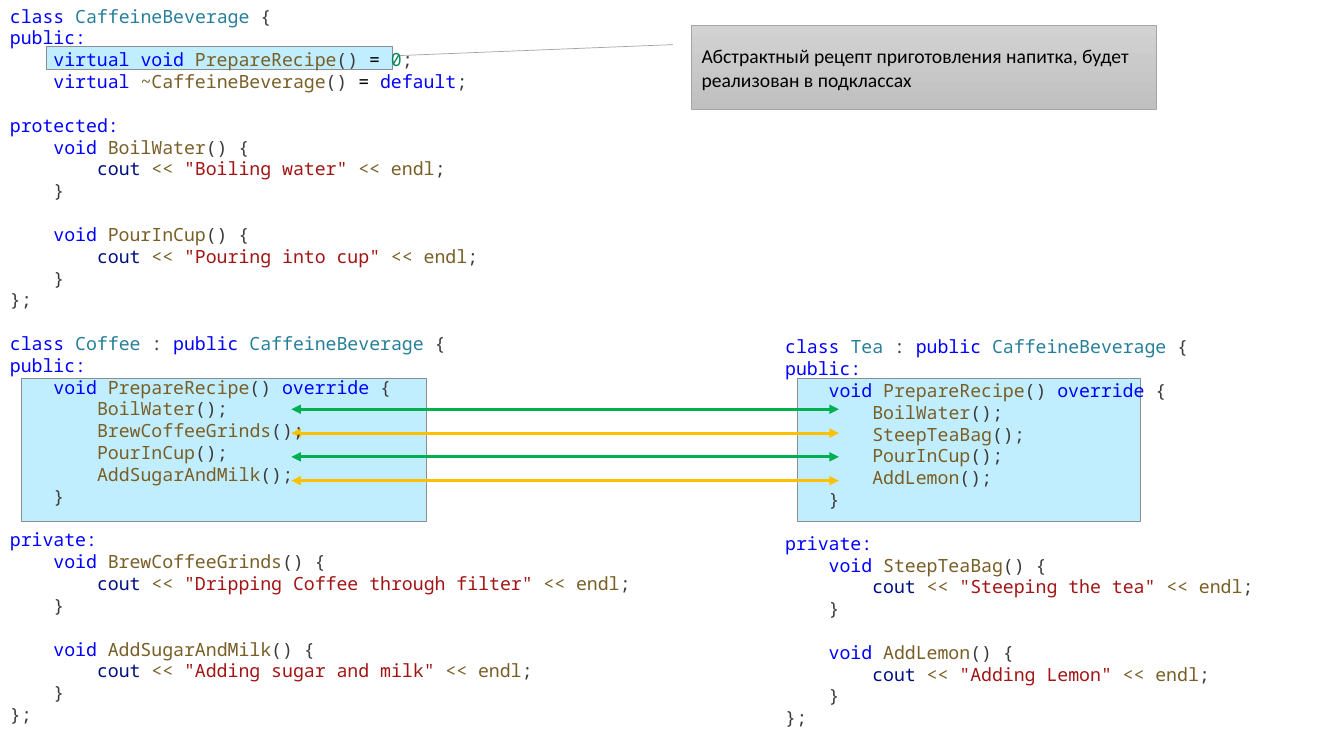
from itertools import groupby

from lxml.etree import SubElement
from pptx import Presentation
from pptx.dml.color import RGBColor
from pptx.enum.shapes import MSO_CONNECTOR, MSO_SHAPE
from pptx.enum.text import MSO_ANCHOR, MSO_AUTO_SIZE, PP_ALIGN
from pptx.oxml.ns import qn
from pptx.util import Inches, Pt

BASE_AND_COFFEE = """\
class CaffeineBeverage {
public:
    virtual void PrepareRecipe() = 0;
    virtual ~CaffeineBeverage() = default;

protected:
    void BoilWater() {
        cout << "Boiling water" << endl;
    }

    void PourInCup() {
        cout << "Pouring into cup" << endl;
    }
};

class Coffee : public CaffeineBeverage {
public:
    void PrepareRecipe() override {
        BoilWater();
        BrewCoffeeGrinds();
        PourInCup();
        AddSugarAndMilk();
    }

private:
    void BrewCoffeeGrinds() {
        cout << "Dripping Coffee through filter" << endl;
    }

    void AddSugarAndMilk() {
        cout << "Adding sugar and milk" << endl;
    }
};"""

TEA = """\
class Tea : public CaffeineBeverage {
public:
    void PrepareRecipe() override {
        BoilWater();
        SteepTeaBag();
        PourInCup();
        AddLemon();
    }

private:
    void SteepTeaBag() {
        cout << "Steeping the tea" << endl;
    }

    void AddLemon() {
        cout << "Adding Lemon" << endl;
    }
};"""

CALLOUT_TEXT = "Абстрактный рецепт приготовления напитка, будет реализован в подклассах"

KEYWORDS = {"class", "public", "virtual", "void", "override", "default"}
CLASS_NAMES = {"CaffeineBeverage", "Coffee", "Tea"}

KEYWORD = RGBColor(0x00, 0x00, 0xFF)
CLASS_NAME = RGBColor(0x26, 0x7F, 0x99)
FUNCTION = RGBColor(0x79, 0x5E, 0x26)
VARIABLE = RGBColor(0x00, 0x10, 0x80)
STRING = RGBColor(0xA3, 0x15, 0x15)
NUMBER = RGBColor(0x09, 0x86, 0x58)
PUNCTUATION = RGBColor(0x3B, 0x3B, 0x3B)
BLACK = RGBColor(0x00, 0x00, 0x00)
HIGHLIGHT = RGBColor(0x85, 0xDF, 0xFF)
HIGHLIGHT_BORDER = RGBColor(0x8E, 0x8E, 0x8E)
CALLOUT_TOP = RGBColor(0xD2, 0xD2, 0xD2)
CALLOUT_BOTTOM = RGBColor(0xC0, 0xC0, 0xC0)
CALLOUT_BORDER = RGBColor(0xA5, 0xA5, 0xA5)
SHARED_STEP = RGBColor(0x00, 0xB0, 0x50)
DIFFERENT_STEP = RGBColor(0xFF, 0xC0, 0x00)

# The grid is one code character wide and one code line high.
COLUMN, ROW = Pt(7.8), Pt(15.6)

# Left and width in columns, top and height in rows: left, top, width, height
ABSTRACT_METHOD = (4.25, 2.12, 31.66, 1.06)
CALLOUT = (63.32, 1.15, 42.55, 3.88)
CALLOUT_POINTS = (0.23, -0.04, 0.36, -0.63)
RECIPES = [(1.94, 17.31, 37.11, 6.55), (73.02, 17.31, 31.38, 6.55)]
CODE_BLOCKS = [
    (BASE_AND_COFFEE, (0, 0, 61.57, 33.78)),
    (TEA, (70.98, 15.14, 53.08, 18.65)),
]
STEP_COLORS = [SHARED_STEP, DIFFERENT_STEP, SHARED_STEP, DIFFERENT_STEP]
ARROW_LEFT, ARROW_RIGHT = 26.68, 76.8
ARROW_TOP, ARROW_STEP = 18.74, 1.09


def place(left, top, width, height):
    return tuple(round(n * unit) for n, unit in
                 ((left, COLUMN), (top, ROW), (width, COLUMN), (height, ROW)))


def character_class(character):
    if character.isalnum() or character == "~":
        return "word"
    return character if character in "<=" else "punctuation"


def token_color(kind, token):
    if kind == "punctuation":
        return PUNCTUATION
    if kind == "=":
        return BLACK
    if token in KEYWORDS:
        return KEYWORD
    if token in CLASS_NAMES:
        return CLASS_NAME
    if token == "cout":
        return VARIABLE
    return NUMBER if token.isdigit() else FUNCTION


def tokens(line):
    """Yield each piece of a code line with its colour."""
    if line.endswith(":"):
        yield line, KEYWORD
        return
    for index, part in enumerate(line.split('"')):
        if index % 2:
            yield f'"{part}"', STRING
            continue
        for kind, characters in groupby(part, character_class):
            token = "".join(characters)
            yield token, token_color(kind, token)


def add_run(paragraph, text, font_name, size, color):
    run = paragraph.add_run()
    run.text = text
    run.font.name = font_name
    run.font.size = Pt(size)
    run.font.color.rgb = color


def add_code(shapes, code, box):
    frame = shapes.add_textbox(*place(*box)).text_frame
    frame.word_wrap = True
    frame.auto_size = MSO_AUTO_SIZE.SHAPE_TO_FIT_TEXT
    first_line = True
    for section in code.split("\n\n"):
        for index, line in enumerate(section.split("\n")):
            paragraph = frame.paragraphs[0] if first_line else frame.add_paragraph()
            paragraph.line_spacing = ROW
            if index == 0 and not first_line:
                paragraph.space_before = ROW
            first_line = False
            for text, color in tokens(line):
                add_run(paragraph, text, "Noto Sans Mono", 13, color)


def add_highlight(shapes, box):
    shape = shapes.add_shape(MSO_SHAPE.RECTANGLE, *place(*box))
    shape.shadow.inherit = False
    shape.fill.solid()
    shape.fill.fore_color.rgb = HIGHLIGHT
    color = shape.fill._xPr.find(qn("a:solidFill"))[0]
    SubElement(color, qn("a:alpha"), val="50000")
    shape.line.color.rgb = HIGHLIGHT_BORDER
    shape.line.width = Pt(0.5)


def add_callout(shapes):
    shape = shapes.add_shape(MSO_SHAPE.LINE_CALLOUT_1, *place(*CALLOUT))
    for index, value in enumerate(CALLOUT_POINTS):
        shape.adjustments[index] = value
    shape.shadow.inherit = False
    shape.fill.gradient()
    shape.fill.gradient_angle = 270
    for stop, color in zip(shape.fill.gradient_stops, (CALLOUT_TOP, CALLOUT_BOTTOM)):
        stop.color.rgb = color
    shape.line.color.rgb = CALLOUT_BORDER
    shape.line.width = Pt(0.5)
    frame = shape.text_frame
    frame.word_wrap = True
    frame.vertical_anchor = MSO_ANCHOR.MIDDLE
    paragraph = frame.paragraphs[0]
    paragraph.alignment = PP_ALIGN.LEFT
    add_run(paragraph, CALLOUT_TEXT, "Calibri", 14, BLACK)


def add_step_arrow(shapes, row, color):
    left, top, right, bottom = place(ARROW_LEFT, row, ARROW_RIGHT, row)
    arrow = shapes.add_connector(MSO_CONNECTOR.STRAIGHT, left, top, right, bottom)
    arrow.line.color.rgb = color
    arrow.line.width = Pt(2.25)
    for end in ("a:headEnd", "a:tailEnd"):
        SubElement(arrow.line._ln, qn(end), type="triangle")
    SubElement(arrow._element.spPr, qn("a:effectLst"))


def main():
    presentation = Presentation()
    presentation.slide_width, presentation.slide_height = Inches(13.33), Inches(7.5)
    slide = presentation.slides.add_slide(presentation.slide_layouts[6])
    add_highlight(slide.shapes, ABSTRACT_METHOD)
    add_callout(slide.shapes)
    recipes = slide.shapes.add_group_shape()
    for box in RECIPES:
        add_highlight(recipes.shapes, box)
    arrows = slide.shapes.add_group_shape()
    for index, color in enumerate(STEP_COLORS):
        add_step_arrow(arrows.shapes, ARROW_TOP + index * ARROW_STEP, color)
    for code, box in CODE_BLOCKS:
        add_code(slide.shapes, code, box)
    presentation.save("out.pptx")


if __name__ == "__main__":
    main()
